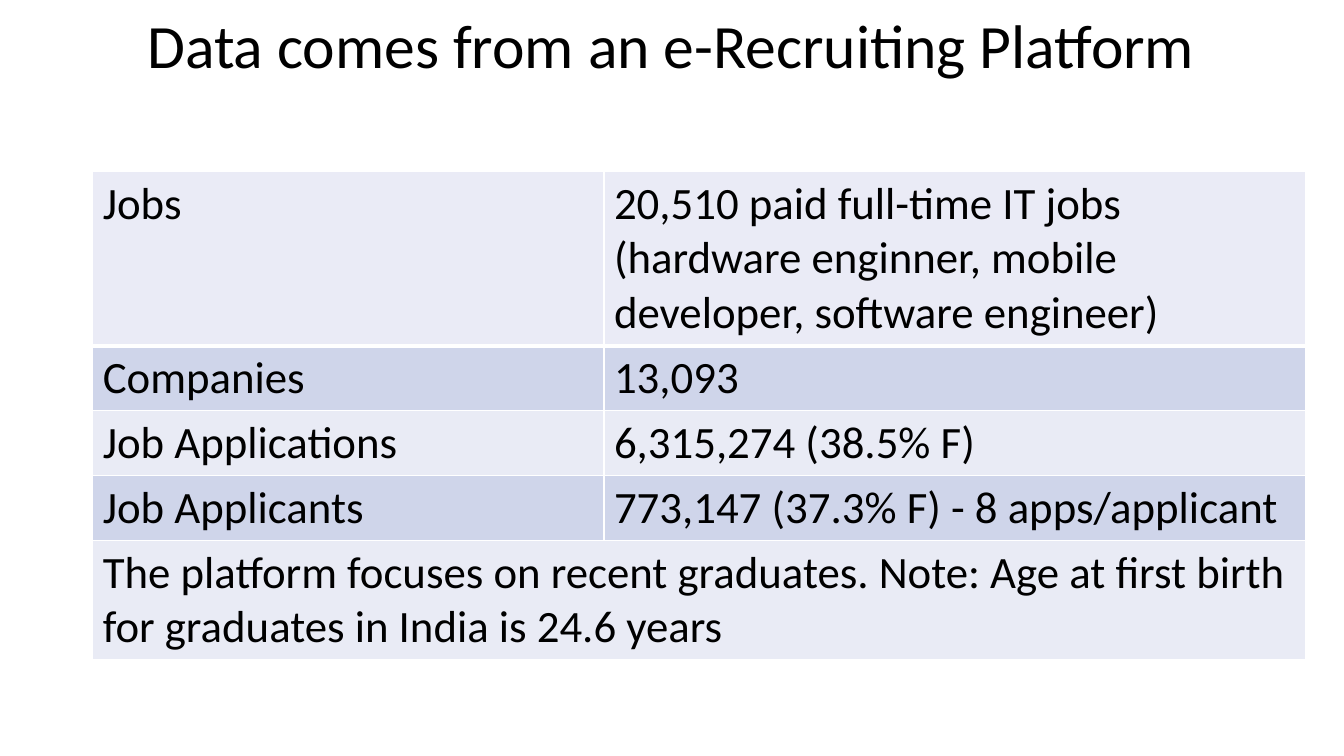
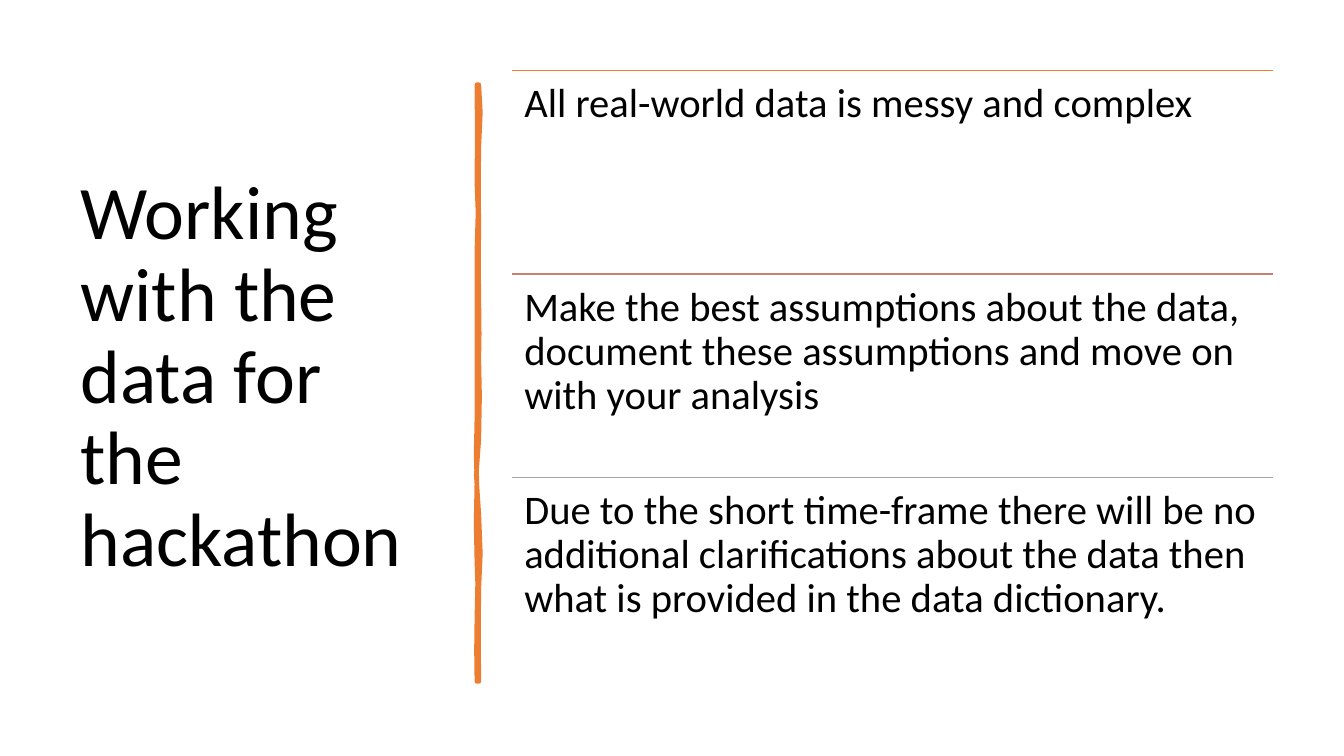
import pptx
import pptx.dml.color
import pptx.enum.shapes
import pptx.enum.text
import pptx.oxml
import pptx.oxml.ns
import pptx.util

Inches = pptx.util.Inches
Pt = pptx.util.Pt
RGBColor = pptx.dml.color.RGBColor
ANCHOR = pptx.enum.text.MSO_ANCHOR
ALIGN = pptx.enum.text.PP_ALIGN

BLACK = RGBColor(0x00, 0x00, 0x00)
ORANGE = RGBColor(0xED, 0x7D, 0x31)
RUST = RGBColor(0xC4, 0x81, 0x70)
GREY = RGBColor(0xA5, 0xA5, 0xA5)
LAVENDER = RGBColor(0xEA, 0xEB, 0xF6)
BLUE_BAND = RGBColor(0xCF, 0xD5, 0xEA)
PALE_BAND = RGBColor(0xE9, 0xEB, 0xF5)

deck = pptx.Presentation()
deck.slide_width, deck.slide_height = Inches(13.33), Inches(7.5)
title_only = deck.slide_layouts[5]


def write(frame, lines, size, **paragraph_format):
    """Fill a text frame, one paragraph per line."""
    frame.text = "\n".join(lines)
    for paragraph in frame.paragraphs:
        for name, value in paragraph_format.items():
            setattr(paragraph, name, value)
        paragraph.font.name = "Calibri"
        paragraph.font.size = Pt(size)
        paragraph.font.color.rgb = BLACK


def titled_slide(text, box, size, alignment):
    """Add a slide and place its title."""
    slide = deck.slides.add_slide(title_only)
    title = slide.shapes.title
    for name, value in zip(("left", "top", "width", "height"), box):
        setattr(title, name, Inches(value))
    frame_format = {
        "word_wrap": True,
        "auto_size": pptx.enum.text.MSO_AUTO_SIZE.NONE,
        "vertical_anchor": ANCHOR.MIDDLE,
    }
    for name, value in frame_format.items():
        setattr(title.text_frame, name, value)
    write(title.text_frame, [text], size, alignment=alignment, line_spacing=0.9)
    return slide


# Slide 1: the platform in numbers
platform_slide = titled_slide("Data comes from an e-Recruiting Platform",
                              (0.91, -0.24, 11.5, 1.45), 44, ALIGN.CENTER)

# Row height, fill, cell texts
platform_rows = [
    (1.73, LAVENDER, [["Jobs"],
                      ["20,510 paid full-time IT jobs",
                       "(hardware enginner, mobile developer, software engineer)"]]),
    (0.64, BLUE_BAND, [["Companies"], ["13,093"]]),
    (0.64, PALE_BAND, [["Job Applications"], ["6,315,274 (38.5% F)"]]),
    (0.64, BLUE_BAND, [["Job Applicants"], ["773,147 (37.3% F) - 8 apps/applicant"]]),
    (1.18, PALE_BAND, [["The platform focuses on recent graduates. Note: Age at first "
                        "birth for graduates in India is 24.6 years"]]),
]
facts = platform_slide.shapes.add_table(
    len(platform_rows), 2, Inches(0.92), Inches(1.7), Inches(12.03),
    Inches(sum(height for height, _, _ in platform_rows))).table
facts.first_row = facts.horz_banding = False
for column, width in zip(facts.columns, (5.07, 6.96)):
    column.width = Inches(width)
facts.cell(4, 0).merge(facts.cell(4, 1))

for row, (height, band, texts) in enumerate(platform_rows):
    facts.rows[row].height = Inches(height)
    for column, lines in enumerate(texts):
        write(facts.cell(row, column).text_frame, lines, 32)
    for cell in facts.rows[row].cells:
        # White borders, heavier below the first row; they precede the fill
        weights = {"lnL": 1, "lnR": 1, "lnT": 3 if row == 1 else 1, "lnB": 3 if row == 0 else 1}
        properties = cell._tc.get_or_add_tcPr()
        for side, weight in weights.items():
            properties.append(pptx.oxml.parse_xml(
                f'<a:{side} {pptx.oxml.ns.nsdecls("a")} w="{Pt(weight)}"><a:solidFill>'
                f'<a:srgbClr val="FFFFFF"/></a:solidFill></a:{side}>'))
        cell.fill.solid()
        cell.fill.fore_color.rgb = band

# Slide 2: advice for the hackathon
hackathon_slide = titled_slide("Working with the data for the hackathon",
                               (0.7, 0.7, 3.74, 6.11), 54, ALIGN.LEFT)

# Hand-drawn divider: down the right edge, back up the left.
# Each curve is two control points and an end point.
stroke_start = (4.75, 0.84)
stroke_curves = [
    ((4.77, 1.02), (4.77, 1.19), (4.75, 1.46)),
    ((4.73, 1.73), (4.76, 1.95), (4.75, 2.26)),
    ((4.74, 2.57), (4.75, 2.62), (4.75, 2.94)),
    ((4.74, 3.25), (4.77, 3.42), (4.75, 3.56)),
    ((4.73, 3.7), (4.79, 4.14), (4.75, 4.36)),
    ((4.71, 4.57), (4.72, 4.84), (4.75, 5.1)),
    ((4.77, 5.36), (4.77, 5.64), (4.75, 5.84)),
    ((4.73, 6.03), (4.76, 6.5), (4.75, 6.76)),
    ((4.74, 6.76), (4.73, 6.76), (4.73, 6.76)),
    ((4.74, 6.46), (4.71, 6.44), (4.73, 6.13)),
    ((4.74, 5.83), (4.74, 5.7), (4.73, 5.57)),
    ((4.72, 5.44), (4.72, 4.95), (4.73, 4.77)),
    ((4.73, 4.59), (4.71, 4.45), (4.73, 4.15)),
    ((4.74, 3.86), (4.72, 3.73), (4.73, 3.35)),
    ((4.74, 2.98), (4.72, 2.81), (4.73, 2.5)),
    ((4.74, 2.18), (4.75, 2), (4.73, 1.81)),
    ((4.7, 1.63), (4.77, 1.04), (4.73, 0.84)),
]
# Each curve becomes two straight pieces, meeting at its halfway point
outline = []
curve_start = stroke_start
for first, second, end in stroke_curves:
    halfway = [(a + 3 * b + 3 * c + d) / 8
               for a, b, c, d in zip(curve_start, first, second, end)]
    for point in (halfway, end):
        outline.append([Inches(value) for value in point])
    curve_start = end
pen = hackathon_slide.shapes.build_freeform(*[Inches(value) for value in stroke_start])
pen.add_line_segments(outline, close=True)
divider = pen.convert_to_shape()
divider.shadow.inherit = False
divider.fill.solid()
divider.fill.fore_color.rgb = ORANGE
divider.line.color.rgb = ORANGE
divider.line.width = Pt(3.25)
divider.line._get_or_add_ln().append(
    pptx.oxml.parse_xml(f'<a:round {pptx.oxml.ns.nsdecls("a")}/>'))

# Three ruled pieces of advice
advice_left, advice_top, advice_width, advice_height = 5.08, 0.7, 7.55, 2.02
advice = [
    (ORANGE, "All real-world data is messy and complex"),
    (RUST, "Make the best assumptions about the data, document these assumptions "
           "and move on with your analysis"),
    (GREY, "Due to the short time-frame there will be no additional clarifications "
           "about the data then what is provided in the data dictionary."),
]
for index, (rule_color, text) in enumerate(advice):
    left, top = Inches(advice_left), Inches(advice_top + index * advice_height)
    rule = hackathon_slide.shapes.add_connector(
        pptx.enum.shapes.MSO_CONNECTOR.STRAIGHT,
        left, top, left + Inches(advice_width), top)
    rule.line.color.rgb = rule_color
    rule.line.width = Pt(1)
    rule._element.spPr.append(
        pptx.oxml.parse_xml(f'<a:effectLst {pptx.oxml.ns.nsdecls("a")}/>'))

    frame = hackathon_slide.shapes.add_textbox(
        left, top, Inches(advice_width), Inches(advice_height)).text_frame
    frame.word_wrap = True
    for margin in ("margin_left", "margin_top", "margin_right", "margin_bottom"):
        setattr(frame, margin, Inches(0.12))
    write(frame, [text], 29, line_spacing=0.9)

deck.save("out.pptx")
